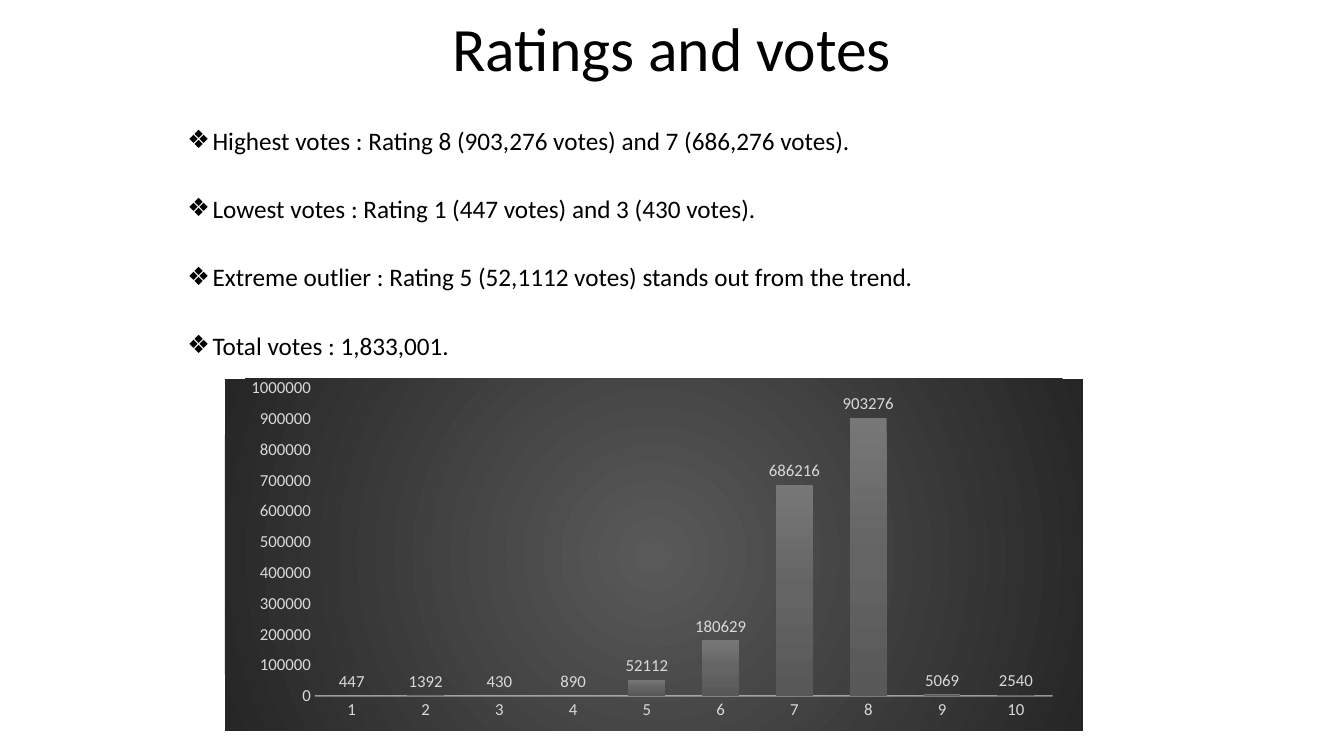
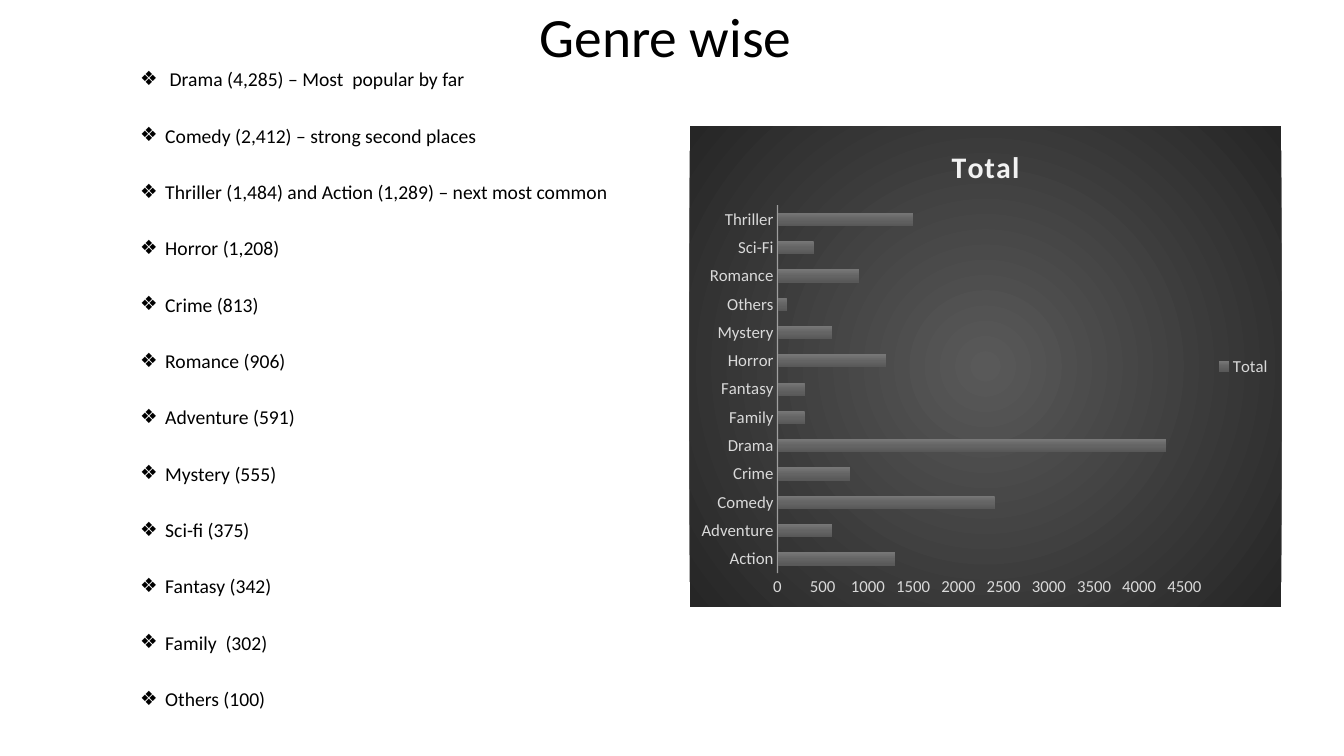
from lxml import etree
from pptx import Presentation
from pptx.chart.data import CategoryChartData
from pptx.dml.color import RGBColor
from pptx.enum import chart as ch, text
from pptx.oxml import parse_xml
from pptx.oxml.ns import nsdecls, qn
from pptx.util import Inches, Pt

# Shared style
FONT = "Calibri"
INK, LABEL, PALE = "000000", "D9D9D9", "F2F2F2"
PANEL_STOPS = [(0, "595959"), (100, "262626")]
BAR_STOPS = [(0, "777777"), (50, "646464"), (100, "585858")]
CIRCLE = ('<a:path path="circle"><a:fillToRect l="50000" t="50000" '
          'r="50000" b="50000"/></a:path>')
DOWN = '<a:lin ang="5400000" scaled="0"/>'

# Content
SLIDES = [
    dict(
        title="Ratings and votes", title_size=44, title_box=(1.79, 0.1, 9.75, 0.82),
        bullets=[
            "Highest votes : Rating 8 (903,276 votes) and 7 (686,276 votes).",
            "Lowest votes : Rating 1 (447 votes) and 3 (430 votes).",
            "Extreme outlier : Rating 5 (52,1112 votes) stands out from the trend.",
            "Total votes : 1,833,001.",
        ],
        bullet_size=18, bullet_box=(1.76, 0.95, 9.21, 2.51),
        chart=dict(
            kind=ch.XL_CHART_TYPE.COLUMN_CLUSTERED, box=(2.23, 3.75, 8.51, 3.5),
            name="Series 1", gap=100, overlap=-24, top=1000000, step=100000,
            data=list(zip("1 2 3 4 5 6 7 8 9 10".split(),
                          [447, 1392, 430, 890, 52112, 180629, 686216, 903276,
                           5069, 2540])),
            values_shown=True, plot=dict(x=0.105, y=0.026, w=0.86, h=0.875),
        ),
    ),
    dict(
        title="Genre wise ", title_size=39.6, title_box=(1.79, 0.1, 9.75, 0.59),
        bullets=[
            " Drama (4,285) – Most  popular by far",
            "Comedy (2,412) – strong second places",
            "Thriller (1,484) and Action (1,289) – next most common",
            "Horror (1,208)", "Crime (813)", "Romance (906)", "Adventure (591)",
            "Mystery (555)", "Sci-fi (375)", "Fantasy (342)", "Family  (302)",
            "Others (100)",
        ],
        bullet_size=14, bullet_box=(1.29, 0.43, 5.88, 7),
        chart=dict(
            kind=ch.XL_CHART_TYPE.BAR_CLUSTERED, box=(6.84, 1.25, 5.87, 4.77),
            name="Total", gap=115, overlap=-20, top=4500, step=500,
            data=[("Action", 1300), ("Adventure", 600), ("Comedy", 2400),
                  ("Crime", 800), ("Drama", 4300), ("Family", 300),
                  ("Fantasy", 300), ("Horror", 1200), ("Mystery", 600),
                  ("Others", 100), ("Romance", 900), ("Sci-Fi", 400),
                  ("Thriller", 1500)],
            title="Total", legend=True,
        ),
    ),
]


def rgb(color):
    return RGBColor.from_string(color)


def set_font(font, size, color, bold=False):
    font.name, font.size, font.bold = FONT, Pt(size), bold
    font.color.rgb = rgb(color)


def add_text(s, paragraphs, box, *, size, color=INK, align=text.PP_ALIGN.LEFT,
             anchor=text.MSO_ANCHOR.TOP, line=0.9, before=0, bullet=None):
    tf = s.shapes.add_textbox(*map(Inches, box)).text_frame
    tf.word_wrap, tf.vertical_anchor = True, anchor
    for i, words in enumerate(paragraphs):
        p = tf.paragraphs[0] if i == 0 else tf.add_paragraph()
        p.alignment, p.line_spacing, p.space_before = align, line, Pt(before)
        r = p.add_run()
        r.text = words
        set_font(r.font, size, color)
        if bullet:
            pPr = p._p.get_or_add_pPr()
            pPr.set("marL", str(Inches(0.25)))
            pPr.set("indent", str(-Inches(0.25)))
            etree.SubElement(pPr, qn("a:buFont")).set("typeface", FONT)
            etree.SubElement(pPr, qn("a:buChar")).set("char", bullet)


def gradient(stops, direction):
    marks = "".join(f'<a:gs pos="{pos * 1000}"><a:srgbClr val="{color}"/></a:gs>'
                    for pos, color in stops)
    return parse_xml(f'<a:gradFill {nsdecls("a")} rotWithShape="1">'
                     f'<a:gsLst>{marks}</a:gsLst>{direction}</a:gradFill>')


def paint_panel(chart):
    spPr = parse_xml(f'<c:spPr {nsdecls("c", "a")}><a:ln><a:noFill/></a:ln></c:spPr>')
    spPr.insert(0, gradient(PANEL_STOPS, CIRCLE))
    chart.element.find(qn("c:chart")).addnext(spPr)


def place_plot(chart, plot):
    area = next(chart.element.iter(qn("c:plotArea")))
    for old in area.findall(qn("c:layout")):
        area.remove(old)
    sizes = "".join(f'<c:{k} val="{v}"/>' for k, v in plot.items())
    area.insert(0, parse_xml(
        f'<c:layout {nsdecls("c")}><c:manualLayout><c:layoutTarget val="inner"/>'
        f'<c:xMode val="edge"/><c:yMode val="edge"/>{sizes}'
        '</c:manualLayout></c:layout>'))


def style_axes(chart, top, step):
    for axis in (chart.category_axis, chart.value_axis):
        axis.has_major_gridlines = False
        axis.major_tick_mark = axis.minor_tick_mark = ch.XL_TICK_MARK.NONE
        set_font(axis.tick_labels.font, 12, LABEL)
    line = chart.category_axis.format.line
    line.width, line.color.rgb = Pt(1), rgb(PALE)
    tint = next(chart.category_axis._element.find(qn("c:spPr")).iter(qn("a:srgbClr")))
    etree.SubElement(tint, qn("a:alpha")).set("val", "54000")
    values = chart.value_axis
    values.format.line.fill.background()
    values.minimum_scale, values.maximum_scale, values.major_unit = 0, top, step


def add_bars(s, kind, box, name, data, gap, overlap, top, step,
             title=None, legend=False, values_shown=False, plot=None):
    cd = CategoryChartData()
    cd.categories = [label for label, _ in data]
    cd.add_series(name, [value for _, value in data])
    chart = s.shapes.add_chart(kind, *map(Inches, box), cd).chart
    set_font(chart.font, 10, INK)
    paint_panel(chart)
    style_axes(chart, top, step)

    # Bars
    bars = chart.plots[0]
    bars.vary_by_categories, bars.gap_width, bars.overlap = False, gap, overlap
    bars.series[0]._element.get_or_add_spPr().insert(0, gradient(BAR_STOPS, DOWN))
    if values_shown:
        bars.has_data_labels = True
        labels = bars.data_labels
        labels.show_value, labels.position = True, ch.XL_LABEL_POSITION.OUTSIDE_END
        set_font(labels.font, 12, LABEL)

    # Title, legend and plot area
    chart.has_title = bool(title)
    if title:
        tf = chart.chart_title.text_frame
        tf.text = title
        r = tf.paragraphs[0].runs[0]
        set_font(r.font, 21.3, PALE, bold=True)
        r._r.get_or_add_rPr().set("spc", "100")
        chart.chart_title.include_in_layout = False
    chart.has_legend = legend
    if legend:
        chart.legend.position = ch.XL_LEGEND_POSITION.RIGHT
        chart.legend.include_in_layout = False
        set_font(chart.legend.font, 12, LABEL)
    if plot:
        place_plot(chart, plot)


def main():
    prs = Presentation()
    prs.slide_width, prs.slide_height = Inches(13.33), Inches(7.5)
    for page in SLIDES:
        s = prs.slides.add_slide(prs.slide_layouts[6])
        add_text(s, [page["title"]], page["title_box"], size=page["title_size"],
                 align=text.PP_ALIGN.CENTER, anchor=text.MSO_ANCHOR.MIDDLE)
        add_text(s, page["bullets"], page["bullet_box"], size=page["bullet_size"],
                 line=1.8, before=10, bullet="❖")
        add_bars(s, **page["chart"])
    prs.save("out.pptx")


if __name__ == "__main__":
    main()
